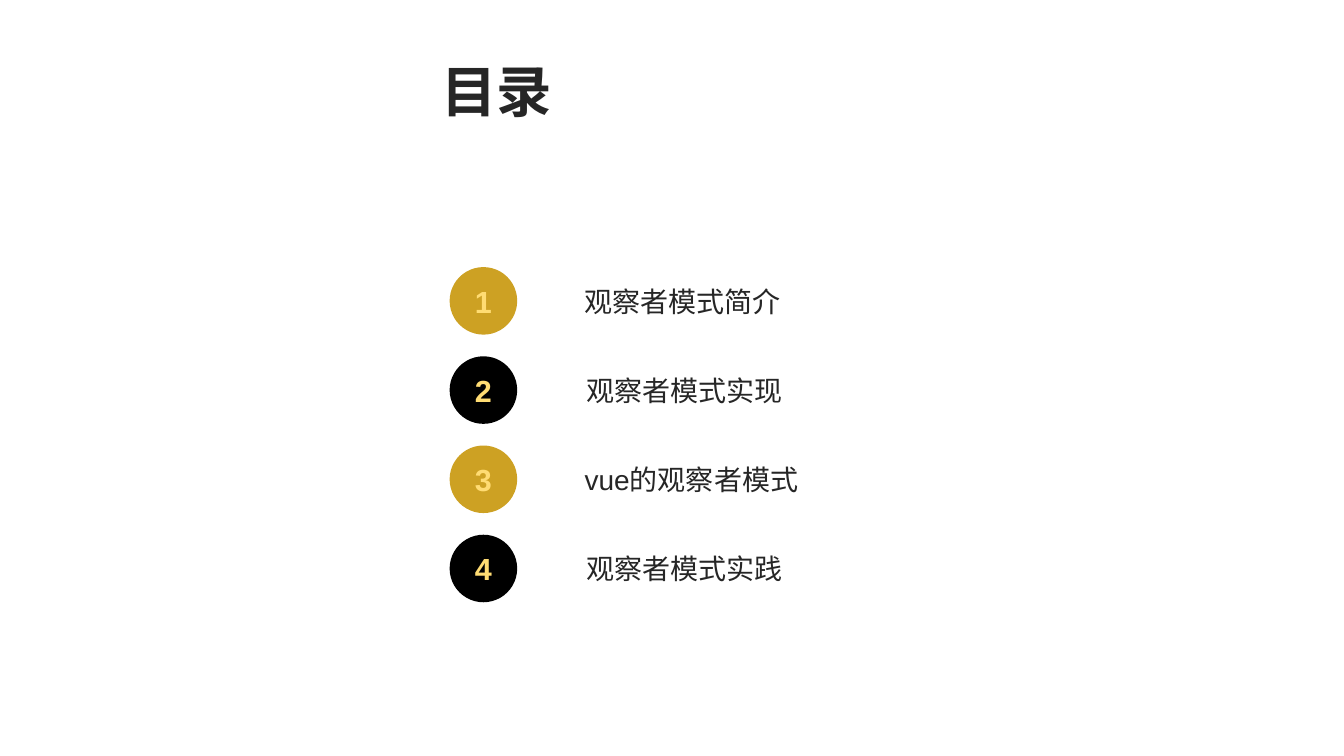
from pptx import Presentation
from pptx.dml.color import RGBColor
from pptx.enum.shapes import MSO_SHAPE
from pptx.enum.text import MSO_ANCHOR, PP_ALIGN
from pptx.util import Inches, Pt

TITLE = "目录"
TOPICS = ["观察者模式简介", "观察者模式实现", "vue的观察者模式", "观察者模式实践"]
COLORS = {"ink": "262626", "gold": "CDA123", "black": "000000", "pale": "FFDC73"}
FILLS = ["gold", "black"]
LEFTS = [5.7, 5.72]

FONTS = {
    "title": {"size": Pt(39.6), "bold": True},
    "topic": {"size": Pt(20), "bold": False},
    "badge": {"size": Pt(21.8), "bold": True},
}
TOP, STEP, SIZE = 2.65, 0.885, 0.67
RIGHT = 9.68


def write(shape, text, style, color, anchor, align=PP_ALIGN.LEFT):
    frame = shape.text_frame
    frame.word_wrap = True
    frame.vertical_anchor = anchor
    para = frame.paragraphs[0]
    para.alignment = align
    run = para.add_run()
    run.text = text
    run.font.name = "Arial"
    run.font.color.rgb = RGBColor.from_string(COLORS[color])
    for key, value in FONTS[style].items():
        setattr(run.font, key, value)


def add_text(slide, box, text, style, anchor):
    shape = slide.shapes.add_textbox(*map(Inches, box))
    write(shape, text, style, "ink", anchor)


def add_badge(slide, top, number, fill):
    badge = slide.shapes.add_shape(
        MSO_SHAPE.OVAL, *map(Inches, (4.46, top, SIZE, SIZE)))
    badge.shadow.inherit = False
    badge.fill.solid()
    badge.fill.fore_color.rgb = RGBColor.from_string(COLORS[fill])
    badge.line.fill.background()
    write(badge, str(number), "badge", "pale", MSO_ANCHOR.MIDDLE, PP_ALIGN.CENTER)


def main():
    deck = Presentation()
    deck.slide_width, deck.slide_height = Inches(13.33), Inches(7.5)
    slide = deck.slides.add_slide(deck.slide_layouts[6])
    add_text(slide, (4.28, 0.47, 2.04, 0.86), TITLE, "title", MSO_ANCHOR.MIDDLE)
    for i, topic in enumerate(TOPICS):
        top = TOP + i * STEP
        left = LEFTS[i % 2]
        add_badge(slide, top, i + 1, FILLS[i % 2])
        add_text(slide, (left, top + 0.12, RIGHT - left, 0.44),
                 topic, "topic", MSO_ANCHOR.TOP)
    deck.save("out.pptx")


if __name__ == "__main__":
    main()
